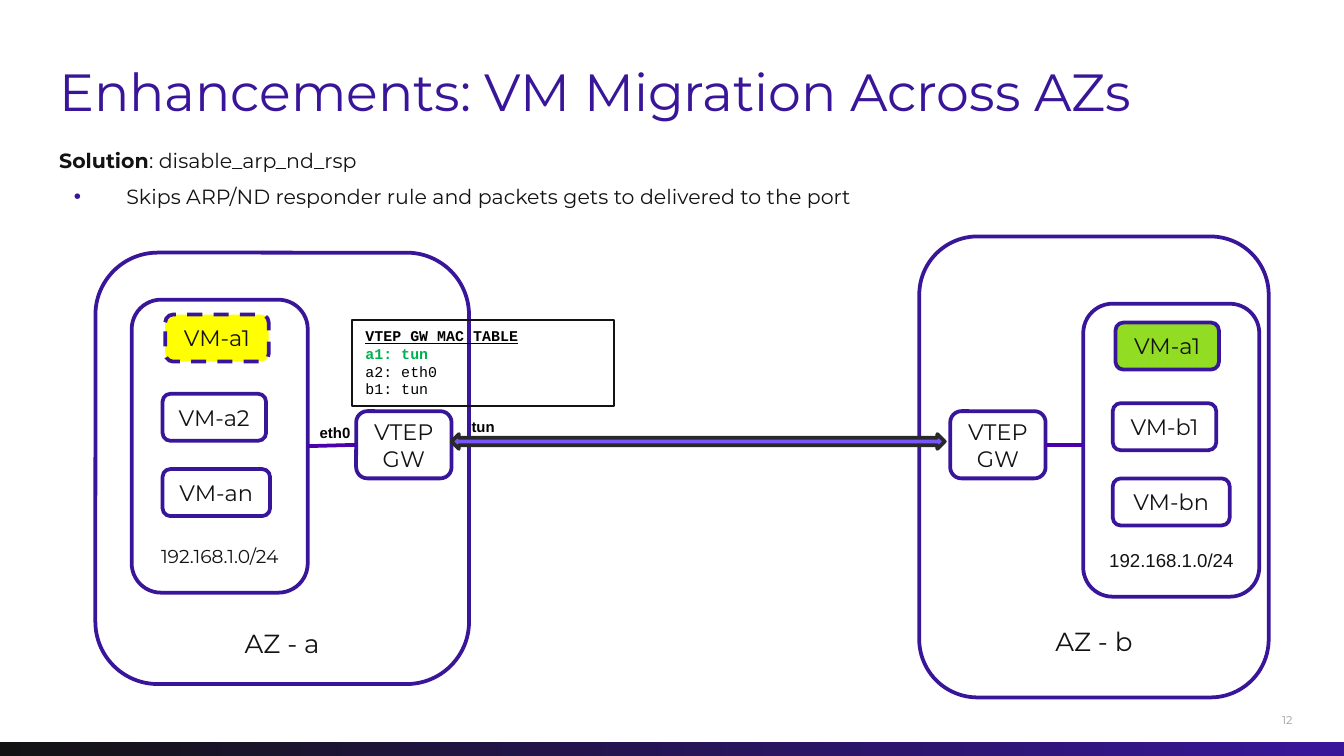
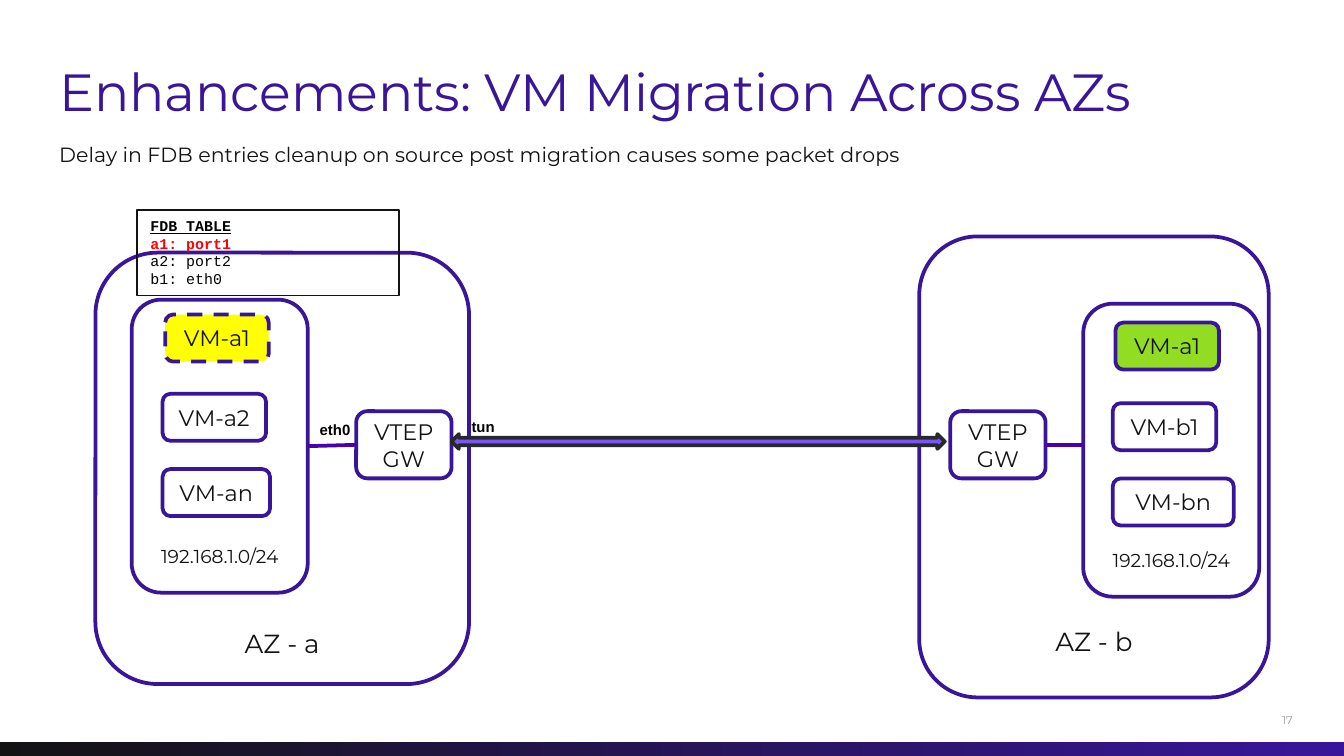
from dataclasses import dataclass, replace

from lxml.etree import SubElement
from pptx import Presentation
from pptx.dml.color import RGBColor
from pptx.enum.dml import MSO_LINE
from pptx.enum.shapes import MSO_CONNECTOR, MSO_SHAPE
from pptx.enum.text import MSO_ANCHOR, MSO_AUTO_SIZE, PP_ALIGN
from pptx.oxml.ns import qn
from pptx.shapes.autoshape import Shape
from pptx.slide import Slide
from pptx.text.text import TextFrame
from pptx.util import Inches, Pt

SLIDE_WIDTH, SLIDE_HEIGHT = Inches(10), Inches(5.625)
CELL = SLIDE_WIDTH // 100  # square grid: 100 columns, 56.25 rows
COLUMNS, ROWS = 100, 56.25

INK = RGBColor(0x13, 0x13, 0x13)
INDIGO = RGBColor(0x39, 0x16, 0x99)
LINK = RGBColor(0x4B, 0x00, 0xAA)
VIOLET = RGBColor(0x78, 0x55, 0xFA)
CHARCOAL = RGBColor(0x29, 0x29, 0x29)
GRAY = RGBColor(0x9C, 0x9C, 0x9C)
WHITE = RGBColor(0xFF, 0xFF, 0xFF)
BLACK = RGBColor(0x00, 0x00, 0x00)
YELLOW = RGBColor(0xFF, 0xFF, 0x00)
LIME = RGBColor(0x92, 0xDD, 0x23)
GREEN = RGBColor(0x00, 0xB0, 0x50)
RED = RGBColor(0xFF, 0x00, 0x00)

SANS, LABEL_FONT, CODE_FONT = "Montserrat", "Arial", "Courier New"
TITLE = "Enhancements: VM Migration Across AZs"
SUBNET = "192.168.1.0/24"


@dataclass(frozen=True)
class Area:
    """A rectangle in grid columns and rows."""
    left: float
    top: float
    width: float
    height: float

    def emu(self) -> tuple[int, ...]:
        return tuple(round(n * CELL) for n in (self.left, self.top, self.width, self.height))


@dataclass(frozen=True)
class Node:
    """A rounded box; one with a bottom gap has its label at the foot."""
    label: str
    area: Area
    fill: RGBColor = WHITE
    dashed: bool = False
    size: int = 12
    font: str = SANS
    bottom_gap: float | None = None


@dataclass(frozen=True)
class MacTable:
    area: Area
    heading: str
    changed_entry: str
    changed_color: RGBColor
    entries: tuple[str, ...]


@dataclass(frozen=True)
class MigrationSlide:
    number: str
    summary_top: float
    lead: str
    summary: str
    bullets: tuple[str, ...]
    table: MacTable
    eth0_top: float
    subnet_b_font: str
    vm_bn_width: float


ZONE_A = Node("AZ - a", Area(7.1, 18.8, 27.8, 32.1), size=14, bottom_gap=0.5)
ZONE_B = Node("AZ - b", Area(68.4, 17.6, 26, 34.3), size=14, bottom_gap=1.75)
SUBNET_A = Node(SUBNET, Area(9.8, 22.3, 13.1, 21.8), size=10, bottom_gap=1.25)
SUBNET_B = replace(SUBNET_A, area=Area(80.6, 22.6, 13.1, 21.8))
VMS_A = (
    Node("VM-a1", Area(12.3, 23.4, 7.7, 3.5), YELLOW, dashed=True),
    Node("VM-a2", Area(12.1, 29.3, 7.7, 3.5)),
    Node("VM-an", Area(12.1, 34.9, 8, 3.5)),
)
VMS_B = (
    Node("VM-a1", Area(83, 24, 7.7, 3.5), LIME),
    Node("VM-b1", Area(82.8, 30, 7.7, 3.5)),
)
GATEWAY_A = Node("VTEP GW", Area(26.5, 30.6, 7.1, 5))
GATEWAY_B = replace(GATEWAY_A, area=Area(70.7, 30.6, 7.1, 5))

SLIDES = (
    MigrationSlide(
        "12", 11, "Solution", ": disable_arp_nd_rsp",
        ("Skips ARP/ND responder rule and packets gets to delivered to the port",),
        MacTable(Area(26.2, 23.8, 19.5, 6.4), "VTEP GW MAC TABLE",
                 "a1: tun", GREEN, ("a2: eth0", "b1: tun")),
        eth0_top=31, subnet_b_font=LABEL_FONT, vm_bn_width=8.7),
    MigrationSlide(
        "17", 10.6, "",
        "Delay in FDB entries cleanup on source post migration causes some packet drops", (),
        MacTable(Area(10.2, 15.6, 19.5, 6.4), "FDB TABLE",
                 "a1: port1", RED, ("a2: port2", "b1: eth0")),
        eth0_top=30.8, subnet_b_font=SANS, vm_bn_width=9),
)


def style_runs(paragraph, size: float, color: RGBColor, font: str = SANS,
               bold: bool = False, underline: bool = False) -> None:
    for run in paragraph.runs:
        run.font.size = Pt(size)
        run.font.color.rgb = color
        run.font.name = font
        run.font.bold = bold
        run.font.underline = underline


def clear_margins(frame: TextFrame) -> None:
    frame.margin_left = frame.margin_top = frame.margin_right = frame.margin_bottom = 0


def add_text(slide: Slide, area: Area, wrap: bool = True) -> TextFrame:
    frame = slide.shapes.add_textbox(*area.emu()).text_frame
    frame.word_wrap = wrap
    return frame


def add_outlined(slide: Slide, kind: MSO_SHAPE, area: Area, fill: RGBColor | None,
                 line: RGBColor, width: float = 2) -> Shape:
    shape = slide.shapes.add_shape(kind, *area.emu())
    shape.shadow.inherit = False
    if fill is None:
        shape.fill.background()
    else:
        shape.fill.solid()
        shape.fill.fore_color.rgb = fill
    shape.line.color.rgb = line
    shape.line.width = Pt(width)
    return shape


def add_node(slide: Slide, node: Node) -> Shape:
    shape = add_outlined(slide, MSO_SHAPE.ROUNDED_RECTANGLE, node.area, node.fill, INDIGO)
    if node.dashed:
        shape.line.dash_style = MSO_LINE.DASH
    frame = shape.text_frame
    frame.word_wrap = True
    frame.vertical_anchor = MSO_ANCHOR.MIDDLE
    if node.bottom_gap is not None:
        frame.vertical_anchor = MSO_ANCHOR.BOTTOM
        frame.margin_bottom = round(node.bottom_gap * CELL)
    frame.text = node.label
    frame.paragraphs[0].alignment = PP_ALIGN.CENTER
    style_runs(frame.paragraphs[0], node.size, INK, node.font)
    return shape


def add_link(slide: Slide, left: float, right: float, row: float):
    link = slide.shapes.add_connector(
        MSO_CONNECTOR.STRAIGHT, *(round(n * CELL) for n in (left, row, right, row)))
    link.line.color.rgb = LINK
    link.line.width = Pt(2)
    SubElement(link._element.spPr, qn("a:effectLst"))
    return link


def add_band(slide: Slide) -> None:
    band = slide.shapes.add_shape(
        MSO_SHAPE.RECTANGLE, *Area(0, 55.2, COLUMNS, ROWS - 55.2).emu())
    band.shadow.inherit = False
    band.line.fill.background()
    band.fill.gradient()
    band.fill.gradient_angle = 0
    for stop, position, color in zip(band.fill.gradient_stops, (0, 1), (INK, INDIGO)):
        stop.position = position
        stop.color.rgb = color


def format_title(slide: Slide) -> None:
    title = slide.shapes.title
    title.left, title.top, title.width, title.height = Area(4.4, 4.4, 81.2, 4.9).emu()
    frame = title.text_frame
    frame.text = TITLE
    frame.auto_size = MSO_AUTO_SIZE.NONE
    frame.vertical_anchor = MSO_ANCHOR.TOP
    clear_margins(frame)
    frame.paragraphs[0].alignment = PP_ALIGN.LEFT
    style_runs(frame.paragraphs[0], 28, INDIGO)


def add_page_number(slide: Slide, number: str) -> None:
    frame = add_text(slide, Area(95.4, 51.9, 4.6, 3.3))
    clear_margins(frame)
    frame.vertical_anchor = MSO_ANCHOR.MIDDLE
    frame.text = number
    style_runs(frame.paragraphs[0], 6, GRAY)


def make_bullet(paragraph) -> None:
    properties = paragraph._p.get_or_add_pPr()
    properties.set("marL", str(Inches(0.5)))
    properties.set("indent", str(-Inches(0.39)))
    color = SubElement(properties, qn("a:buClr"))
    SubElement(color, qn("a:srgbClr"), val=str(INDIGO))
    SubElement(properties, qn("a:buFont"), typeface=LABEL_FONT)
    SubElement(properties, qn("a:buChar"), char="•")
    paragraph.space_before = Pt(6)


def add_summary(slide: Slide, content: MigrationSlide) -> None:
    frame = add_text(slide, Area(4.4, content.summary_top, 67.1, 6))
    clear_margins(frame)
    opening = frame.paragraphs[0]
    opening.text = content.lead or content.summary
    if content.lead:
        opening.add_run().text = content.summary
    style_runs(opening, 11, INK)
    opening.runs[0].font.bold = bool(content.lead)
    for point in content.bullets:
        paragraph = frame.add_paragraph()
        paragraph.text = point
        make_bullet(paragraph)
        style_runs(paragraph, 11, INK)


def add_mac_table(slide: Slide, table: MacTable) -> None:
    frame = add_outlined(slide, MSO_SHAPE.RECTANGLE, table.area, None, INK, 1).text_frame
    frame.word_wrap = True
    frame.vertical_anchor = MSO_ANCHOR.TOP
    frame.text = "\n".join((table.heading, table.changed_entry, *table.entries))
    for index, paragraph in enumerate(frame.paragraphs):
        paragraph.alignment = PP_ALIGN.LEFT
        style_runs(paragraph, 8, table.changed_color if index == 1 else BLACK, CODE_FONT,
                   bold=index < 2, underline=index == 0)


def add_port_label(slide: Slide, label: str, area: Area) -> None:
    frame = add_text(slide, area, wrap=False)
    frame.text = label
    style_runs(frame.paragraphs[0], 8, BLACK, LABEL_FONT, bold=True)


def add_topology(slide: Slide, content: MigrationSlide) -> None:
    """Draw both zones, their machines and the tunnel between the gateways."""
    add_node(slide, ZONE_A)
    subnet_a = add_node(slide, SUBNET_A)
    add_node(slide, ZONE_B)
    add_node(slide, replace(SUBNET_B, font=content.subnet_b_font))
    vm_bn = Node("VM-bn", Area(82.8, 35.6, content.vm_bn_width, 3.5))
    for vm in (*VMS_A, *VMS_B, vm_bn):
        add_node(slide, vm)
    gateway_a = add_node(slide, GATEWAY_A)
    gateway_b = add_node(slide, GATEWAY_B)

    add_outlined(slide, MSO_SHAPE.LEFT_RIGHT_ARROW, Area(33.6, 32.3, 36.7, 1.1),
                 VIOLET, CHARCOAL)
    eth0 = add_link(slide, 22.9, 26.5, 33.1)
    eth0.begin_connect(subnet_a, 3)
    eth0.end_connect(gateway_a, 1)
    add_link(slide, 77.8, 80.6, 33.1).begin_connect(gateway_b, 3)

    add_mac_table(slide, content.table)
    add_port_label(slide, "eth0", Area(22.8, content.eth0_top, 4.3, 2.4))
    add_port_label(slide, "tun", Area(34.1, 30.6, 3.8, 2.4))


def main() -> None:
    deck = Presentation()
    deck.slide_width, deck.slide_height = SLIDE_WIDTH, SLIDE_HEIGHT
    title_only = deck.slide_layouts[5]
    for content in SLIDES:
        slide = deck.slides.add_slide(title_only)
        add_band(slide)
        format_title(slide)
        add_page_number(slide, content.number)
        add_summary(slide, content)
        add_topology(slide, content)
    deck.save("out.pptx")


if __name__ == "__main__":
    main()
